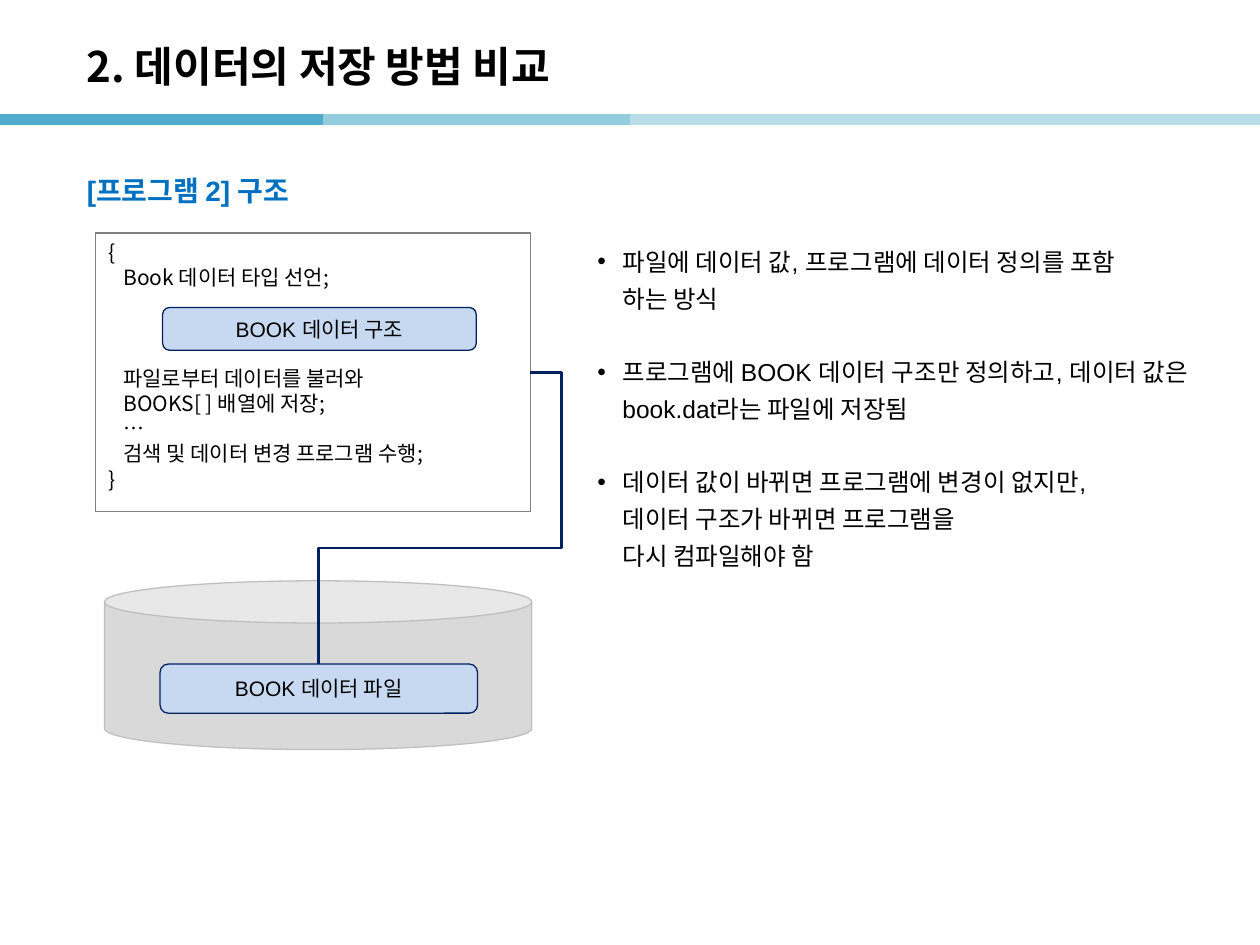
from lxml import etree
from pptx import Presentation
from pptx import util as u
from pptx.dml.color import RGBColor
from pptx.enum import shapes, text
from pptx.oxml import ns

# Content
TITLE = "2. 데이터의 저장 방법 비교"
HEADING = "[프로그램 2] 구조"
POINTS = [
    "파일에 데이터 값, 프로그램에 데이터 정의를 포함\v하는 방식",
    "프로그램에 BOOK 데이터 구조만 정의하고, 데이터 값은 book.dat라는 파일에 저장됨",
    "데이터 값이 바뀌면 프로그램에 변경이 없지만, \v데이터 구조가 바뀌면 프로그램을 \v다시 컴파일해야 함",
]
# Program lines: text, indent level, empty lines above
PROGRAM = [
    ("{", 0, 0),
    ("Book 데이터 타입 선언;", 1, 0),
    ("파일로부터 데이터를 불러와", 1, 3),
    ("BOOKS[ ] 배열에 저장;", 1, 0),
    ("…", 1, 0),
    ("검색 및 데이터 변경 프로그램 수행;", 1, 0),
    ("}", 0, 0),
]

# Format
KOREAN, LATIN = "Noto Sans CJK KR", "Arial"
BLACK = RGBColor(0x00, 0x00, 0x00)
WHITE = RGBColor(0xFF, 0xFF, 0xFF)
BLUE = RGBColor(0x00, 0x70, 0xC0)
NAVY = RGBColor(0x00, 0x20, 0x60)
PALE_BLUE = RGBColor(0xC6, 0xD9, 0xF1)
GRAY = RGBColor(0x80, 0x80, 0x80)
CAN_FILL = RGBColor(0xD9, 0xD9, 0xD9)
CAN_LINE = RGBColor(0xBF, 0xBF, 0xBF)
BANDS = [
    (0, 2.56, RGBColor(0x50, 0xAB, 0xCC)),
    (2.56, 5.12, RGBColor(0x93, 0xCD, 0xDD)),
    (5, 10, RGBColor(0xB7, 0xDE, 0xE8)),
]
TITLE_FONT = {"name": KOREAN, "size": u.Pt(24), "bold": True}
HEADING_FONT = {"name": LATIN, "size": u.Pt(16), "bold": True}
POINT_FONT = {"name": LATIN, "size": u.Pt(14)}
CODE_FONT = {"name": KOREAN, "size": u.Pt(12)}
LABEL_FONT = {"name": LATIN, "size": u.Pt(12)}
CODE_PITCH = 14.4
POINT_PITCH = 21


def set_values(target, values):
    for name, value in values.items():
        setattr(target, name, value)


def place(shape, left, top, width, height):
    set_values(shape, {"left": u.Inches(left), "top": u.Inches(top),
                       "width": u.Inches(width), "height": u.Inches(height)})


def write(paragraph, words, font, color=BLACK, **layout):
    paragraph.text = words
    set_values(paragraph, layout)
    for run in paragraph.runs:
        set_values(run.font, font)
        run.font.color.rgb = color
        east_asian = etree.Element(ns.qn("a:ea"), typeface=KOREAN)
        run.font._element.find(ns.qn("a:latin")).addnext(east_asian)


def indent(paragraph, left, hanging=0, bullet=None):
    properties = paragraph._p.get_or_add_pPr()
    properties.set("marL", str(u.Inches(left)))
    properties.set("indent", str(-u.Inches(hanging)))
    if bullet:
        etree.SubElement(properties, ns.qn("a:buFont"), typeface=LATIN)
        etree.SubElement(properties, ns.qn("a:buChar"), char=bullet)
    else:
        etree.SubElement(properties, ns.qn("a:buNone"))


def paragraphs(frame, count):
    return [frame.paragraphs[0]] + [frame.add_paragraph() for _ in range(count - 1)]


def add_box(slide, kind, box, fill, line):
    shape = slide.shapes.add_shape(kind, *map(u.Inches, box))
    shape.shadow.inherit = False
    shape.fill.solid()
    shape.fill.fore_color.rgb = fill
    shape.line.color.rgb = line
    shape.line.width = u.Pt(0.75)
    return shape


def add_label(slide, words, box):
    shape = add_box(slide, shapes.MSO_SHAPE.ROUNDED_RECTANGLE, box, PALE_BLUE, NAVY)
    shape.text_frame.vertical_anchor = text.MSO_ANCHOR.MIDDLE
    write(shape.text_frame.paragraphs[0], words, LABEL_FONT,
          alignment=text.PP_ALIGN.CENTER)
    return shape


def add_line(slide, kind, start, end, color, width):
    connector = slide.shapes.add_connector(kind, *map(u.Inches, start + end))
    connector.line.color.rgb = color
    connector.line.width = u.Pt(width)
    etree.SubElement(connector._element.spPr, ns.qn("a:effectLst"))
    return connector


def main():
    presentation = Presentation()
    presentation.slide_width = u.Inches(10)
    presentation.slide_height = u.Inches(7.5)
    slide = presentation.slides.add_slide(presentation.slide_layouts[3])
    title, heading, points = slide.placeholders

    # Title and coloured rule
    for left, right, color in BANDS:
        add_line(slide, shapes.MSO_CONNECTOR.STRAIGHT, (left, 0.95), (right, 0.95), color, 6)
    place(title, 0.59, 0.22, 8.27, 0.6)
    title.text_frame.vertical_anchor = text.MSO_ANCHOR.MIDDLE
    write(title.text_frame.paragraphs[0], TITLE, TITLE_FONT, alignment=text.PP_ALIGN.LEFT)

    # Heading
    place(heading, 0.59, 1.19, 8.82, 5.98)
    paragraph = heading.text_frame.paragraphs[0]
    write(paragraph, HEADING, HEADING_FONT, BLUE, line_spacing=1.5, space_before=u.Pt(0))
    indent(paragraph, 0.38, 0.38)

    # Bullet points
    place(points, 4.64, 1.85, 5, 2.75)
    for i, paragraph in enumerate(paragraphs(points.text_frame, len(POINTS))):
        write(paragraph, POINTS[i], POINT_FONT, line_spacing=u.Pt(POINT_PITCH),
              space_before=u.Pt(POINT_PITCH if i else 0))
        indent(paragraph, 0.2, 0.2, "•")

    # Program listing
    program = add_box(slide, shapes.MSO_SHAPE.RECTANGLE, (0.76, 1.85, 3.45, 2.21), WHITE, GRAY)
    program.text_frame.vertical_anchor = text.MSO_ANCHOR.TOP
    lines = paragraphs(program.text_frame, len(PROGRAM))
    for paragraph, (words, level, gap) in zip(lines, PROGRAM):
        write(paragraph, words, CODE_FONT, alignment=text.PP_ALIGN.LEFT,
              line_spacing=u.Pt(CODE_PITCH), space_before=u.Pt(gap * CODE_PITCH))
        indent(paragraph, 0.12 * level)

    # Data file, joined to the program
    can = add_box(slide, shapes.MSO_SHAPE.CAN, (0.83, 4.61, 3.39, 1.34), CAN_FILL, CAN_LINE)
    can.adjustments[0] = 0.25
    link = add_line(slide, shapes.MSO_CONNECTOR.ELBOW, (4.21, 2.96), (2.53, 5.27), NAVY, 1.5)
    data_file = add_label(slide, "BOOK 데이터 파일", (1.27, 5.27, 2.52, 0.39))
    add_label(slide, "BOOK 데이터 구조", (1.29, 2.44, 2.49, 0.34))
    link.begin_connect(program, 3)
    link.end_connect(data_file, 0)
    geometry = link._element.spPr.find(ns.qn("a:prstGeom"))
    geometry.set("prst", "bentConnector4")
    guides = geometry.find(ns.qn("a:avLst"))
    for name, value in (("adj1", -14800), ("adj2", 60200)):
        etree.SubElement(guides, ns.qn("a:gd"), name=name, fmla=f"val {value}")

    presentation.save("out.pptx")


if __name__ == "__main__":
    main()
